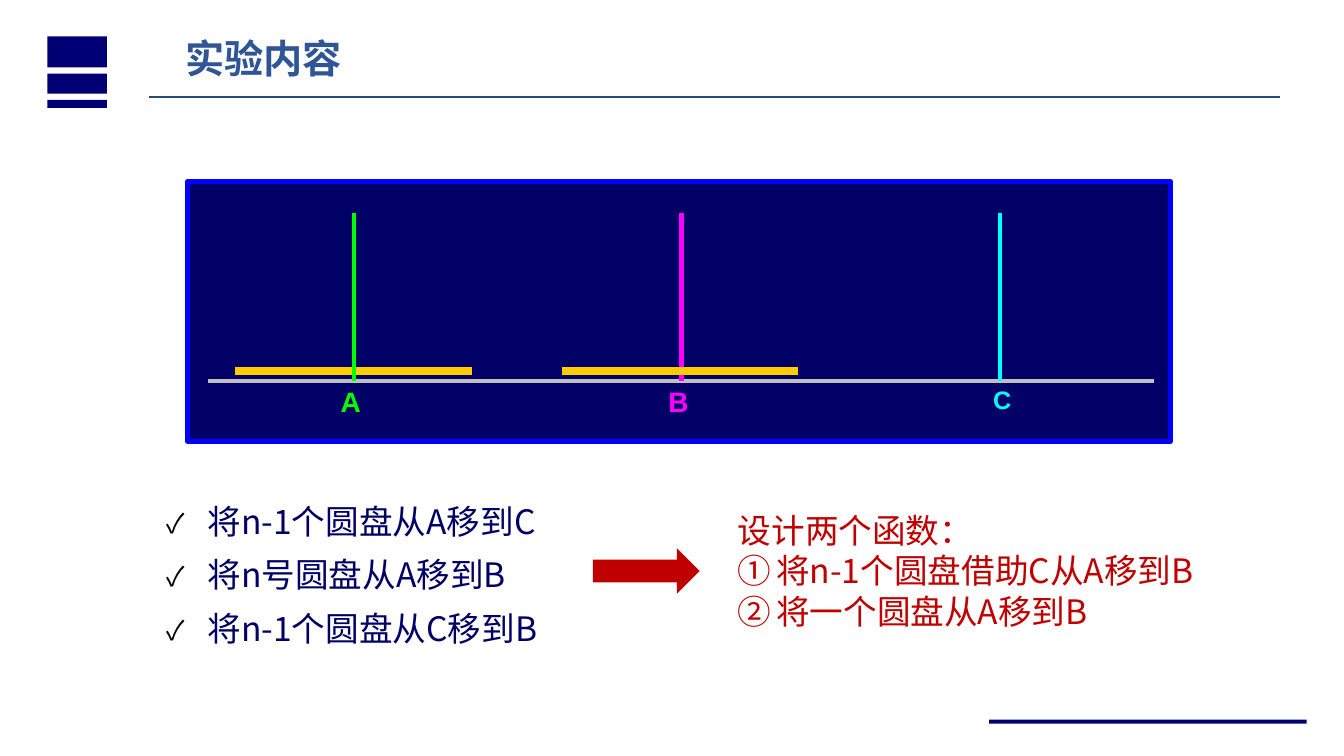
from dataclasses import dataclass

from lxml.etree import SubElement
from pptx import Presentation
from pptx.dml.color import RGBColor
from pptx.enum.shapes import MSO_CONNECTOR as Conn, MSO_SHAPE as Kind
from pptx.enum.text import MSO_AUTO_SIZE as Auto, PP_ALIGN as Align
from pptx.oxml.ns import qn
from pptx.util import Emu, Pt

PX = 9144  # 100 px to the inch
SANS = "Noto Sans CJK SC"
COLOR = {
    "brand": "000074", "panel": "000066", "frame": "0000FF",
    "base": "C0C0C0", "disc": "FFCC00", "green": "00FF00",
    "pink": "FF00FF", "cyan": "00FFFF", "red": "C00000",
    "title": "2F5597", "rule": "1F4E79", "black": "000000",
}


@dataclass
class Box:
    x: int
    y: int
    w: int
    h: int


@dataclass
class Line:
    x1: int
    y1: int
    x2: int
    y2: int
    color: str
    width: float = 3


@dataclass
class Label:
    text: str
    box: Box
    color: str
    size: int


@dataclass
class Style:
    size: int
    color: str
    face: str = SANS
    bold: bool = False


def px(n: int) -> Emu:
    return Emu(n * PX)


def rgb(name: str) -> RGBColor:
    return RGBColor.from_string(COLOR[name])


prs = Presentation()
prs.slide_width, prs.slide_height = px(1333), px(750)
slide = prs.slides.add_slide(prs.slide_layouts[6])
shapes = slide.shapes


def draw_shape(box: Box, fill: str, kind: Kind = Kind.RECTANGLE, edge: str = "") -> None:
    shape = shapes.add_shape(kind, px(box.x), px(box.y), px(box.w), px(box.h))
    shape.shadow.inherit = False
    shape.fill.solid()
    shape.fill.fore_color.rgb = rgb(fill)
    if edge:
        shape.line.color.rgb = rgb(edge)
        shape.line.width = Pt(3)
    else:
        shape.line.fill.background()


def draw_line(line: Line) -> None:
    link = shapes.add_connector(
        Conn.STRAIGHT, px(line.x1), px(line.y1), px(line.x2), px(line.y2))
    link.line.color.rgb = rgb(line.color)
    link.line.width = Pt(line.width)
    SubElement(link._element.spPr, qn("a:effectLst"))


def set_font(para, style: Style) -> None:
    font = para.font
    font.name, font.size, font.bold = style.face, Pt(style.size), style.bold
    font.color.rgb = rgb(style.color)
    base = para._p.pPr.find(qn("a:defRPr"))
    SubElement(base, qn("a:ea"), typeface=style.face)


def set_bullet(para, indent: int, mark: str) -> None:
    props = para._p.get_or_add_pPr()
    props.set("marL", str(px(indent)))
    props.set("indent", str(-px(indent)))
    if mark == "✓":
        tint = SubElement(props, qn("a:buClr"))
        SubElement(tint, qn("a:srgbClr"), val=COLOR["black"])
        SubElement(props, qn("a:buSzPct"), val="80000")
        SubElement(props, qn("a:buFont"), typeface=SANS)
        SubElement(props, qn("a:buChar"), char=mark)
    else:
        SubElement(props, qn("a:buFont"), typeface=SANS)
        SubElement(props, qn("a:buAutoNum"), type=mark)


def draw_text(box: Box, lines: list[str], style: Style, wrap: bool = True,
              grow: bool = True) -> list:
    frame = shapes.add_textbox(px(box.x), px(box.y), px(box.w), px(box.h)).text_frame
    frame.word_wrap = wrap
    frame.auto_size = Auto.SHAPE_TO_FIT_TEXT if grow else Auto.NONE
    frame.text = "\n".join(lines)
    for i, para in enumerate(frame.paragraphs):
        if style.size == 24 and lines is STEPS:
            set_bullet(para, 41, "✓")
            para.line_spacing = 0.95
            para.space_before = Pt(4.8 if i else 0)
            para.space_after = Pt(5.9)
        elif lines is TASKS and i:
            set_bullet(para, 38, "circleNumDbPlain")
        set_font(para, style)
    return list(frame.paragraphs)


STEPS = ["将n-1个圆盘从A移到C", "将n号圆盘从A移到B", "将n-1个圆盘从C移到B"]
TASKS = ["设计两个函数：", "将n-1个圆盘借助C从A移到B", "将一个圆盘从A移到B"]

# Corner bars and footer bar
for y, h in ((36, 31), (73, 20), (99, 8)):
    draw_shape(Box(47, y, 59, h), "brand")
draw_shape(Box(981, 714, 315, 4), "brand")

# Tower panel: base, discs and rods
draw_shape(Box(186, 180, 975, 258), "panel", edge="frame")
TOP, BASE, DISC = 211, 378, 368
for line in (
    Line(206, BASE, 1145, BASE, "base"),
    Line(233, DISC, 468, DISC, "disc", 6),
    Line(676, TOP, 676, BASE, "pink"),
    Line(351, TOP, 351, BASE, "green"),
    Line(992, TOP, 992, BASE, "cyan"),
    Line(557, DISC, 791, DISC, "disc", 6),
):
    draw_line(line)

# Rod names
for label in (
    Label("A", Box(328, 380, 40, 40), "green", 20),
    Label("C", Box(975, 380, 38, 37), "cyan", 18),
    Label("B", Box(653, 380, 40, 40), "pink", 20),
):
    style = Style(label.size, label.color, "Arial", True)
    for para in draw_text(label.box, [label.text], style, wrap=False):
        para.alignment = Align.CENTER
        para.line_spacing = 0.9
        para.space_after = Pt(5.9)

# Steps, arrow and tasks
draw_text(Box(155, 495, 474, 206), STEPS, Style(24, "panel"), grow=False)
draw_text(Box(722, 501, 488, 131), TASKS, Style(24, "red"))
draw_shape(Box(588, 544, 106, 45), "red", Kind.RIGHT_ARROW)

# Title and rule
draw_text(Box(174, 29, 689, 57), ["实验内容"], Style(28, "title", bold=True))
draw_line(Line(148, 96, 1270, 96, "rule", 1.25))

prs.save("out.pptx")
